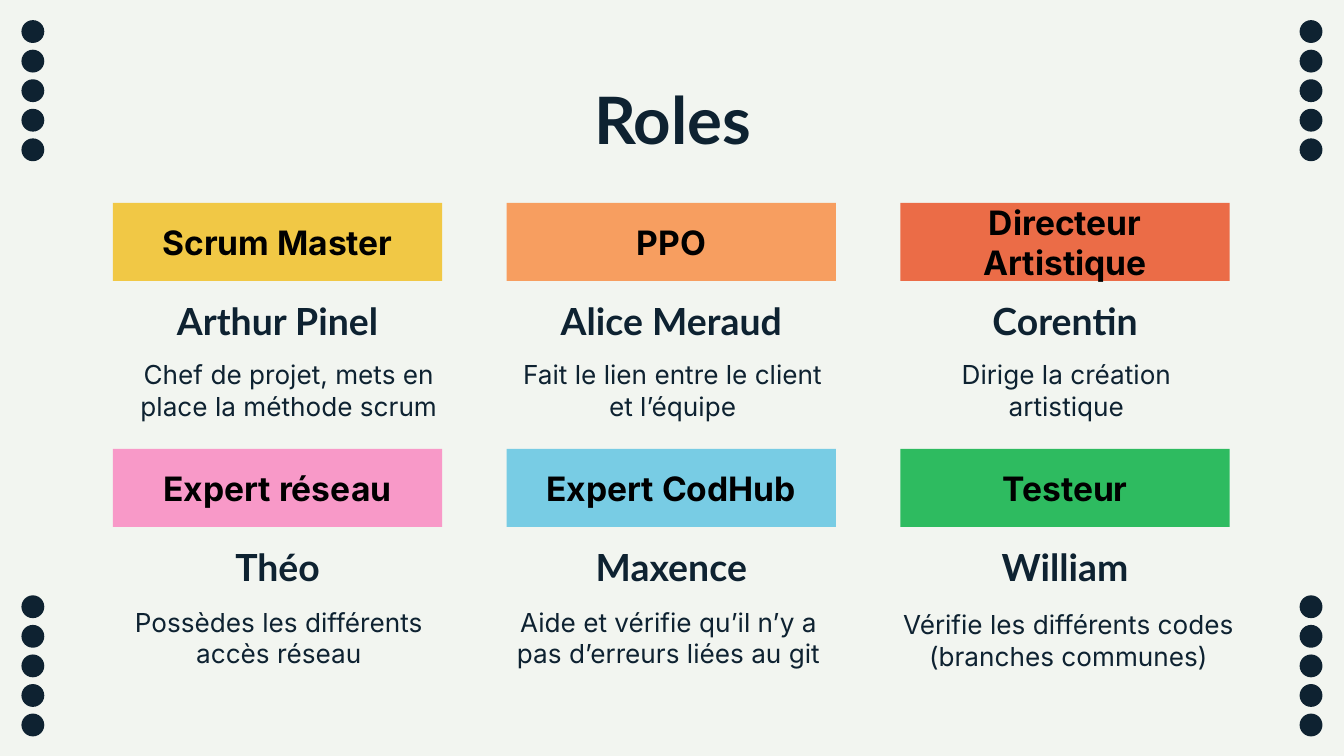
from pptx import Presentation
from pptx.dml.color import RGBColor
from pptx.enum.shapes import MSO_SHAPE
from pptx.enum.text import MSO_ANCHOR, PP_ALIGN
from pptx.util import Inches, Pt

BACKGROUND = RGBColor(0xF2, 0xF5, 0xF0)
NAVY = RGBColor(0x0E, 0x22, 0x31)
BLACK = RGBColor(0x00, 0x00, 0x00)
YELLOW = RGBColor(0xF1, 0xC8, 0x45)
ORANGE = RGBColor(0xF7, 0x9E, 0x60)
RED = RGBColor(0xEB, 0x6C, 0x47)
PINK = RGBColor(0xF8, 0x99, 0xC8)
BLUE = RGBColor(0x78, 0xCC, 0xE4)
GREEN = RGBColor(0x2E, 0xBB, 0x60)

TITLE = {"name": "Lato", "size": Pt(35), "bold": True}
ROLE = {"name": "Inter", "size": Pt(18), "bold": True}
PERSON = {"name": "Lato", "size": Pt(20), "bold": True}
TASK = {"name": "Inter", "size": Pt(14), "bold": False}

CARD_W, BAND_H = 2.45, 0.58
COLUMN_STEP, ROW_STEP = 2.93, 1.83
DOT, DOT_STEP = 0.17, 0.22

# role, colour, person, task, (left, top, width) of the task within its card
CARDS = [
    ("Scrum Master", YELLOW, "Arthur Pinel",
     "Chef de projet, mets en place la méthode scrum", (0.01, 1.06, 2.6)),
    ("PPO", ORANGE, "Alice Meraud",
     "Fait le lien entre le client et l’équipe", (0.01, 1.06, CARD_W)),
    ("Directeur Artistique", RED, "Corentin",
     "Dirige la création artistique", (0.01, 1.06, CARD_W)),
    ("Expert réseau", PINK, "Théo",
     "Possèdes les différents accès réseau", (0.01, 1.07, CARD_W)),
    ("Expert CodHub", BLUE, "Maxence",
     "Aide et vérifie qu’il n’y a pas d’erreurs liées au git", (-0.05, 1.07, 2.51)),
    ("Testeur", GREEN, "William",
     "Vérifie les différents codes (branches communes)", (-0.11, 1.09, 2.72)),
]


def set_text(sp, text, font, color=NAVY, anchor=MSO_ANCHOR.TOP):
    tf = sp.text_frame
    tf.word_wrap = True
    tf.vertical_anchor = anchor
    for side in ("left", "top", "right", "bottom"):
        setattr(tf, f"margin_{side}", Inches(0.1))
    p = tf.paragraphs[0]
    p.alignment = PP_ALIGN.CENTER
    r = p.add_run()
    r.text = text
    for key, value in font.items():
        setattr(r.font, key, value)
    r.font.color.rgb = color


def add_filled(s, kind, box, color):
    sp = s.shapes.add_shape(kind, *map(Inches, box))
    sp.shadow.inherit = False
    sp.fill.solid()
    sp.fill.fore_color.rgb = color
    sp.line.fill.background()
    return sp


def add_dots(s, left, top):
    for i in range(5):
        add_filled(s, MSO_SHAPE.OVAL, (left, top + i * DOT_STEP, DOT, DOT), NAVY)


def add_title(s, left, top, width, height):
    sp = s.shapes.title
    sp.left, sp.top, sp.width, sp.height = map(Inches, (left, top, width, height))
    set_text(sp, "Roles", TITLE)


def add_card(s, left, top, role, color, person, task, task_box):
    band = add_filled(s, MSO_SHAPE.RECTANGLE, (left, top, CARD_W, BAND_H), color)
    set_text(band, role, ROLE, BLACK, MSO_ANCHOR.MIDDLE)

    box = (left, top + 0.73, CARD_W, 0.41)
    set_text(s.shapes.add_textbox(*map(Inches, box)), person, PERSON,
             anchor=MSO_ANCHOR.BOTTOM)

    dx, dy, width = task_box
    box = (left + dx, top + dy, width, 0.63)
    set_text(s.shapes.add_textbox(*map(Inches, box)), task, TASK)


def main():
    prs = Presentation()
    prs.slide_width = Inches(10)
    prs.slide_height = prs.slide_width * 9 // 16
    s = prs.slides.add_slide(prs.slide_layouts[5])
    s.background.fill.solid()
    s.background.fill.fore_color.rgb = BACKGROUND

    for left in (0.16, 9.67):
        for top in (0.15, 4.43):
            add_dots(s, left, top)
    add_title(s, 0.79, 0.49, 8.43, 0.63)
    for i, card in enumerate(CARDS):
        row, column = divmod(i, 3)
        add_card(s, 0.84 + column * COLUMN_STEP, 1.51 + row * ROW_STEP, *card)
    prs.save("out.pptx")


if __name__ == "__main__":
    main()
